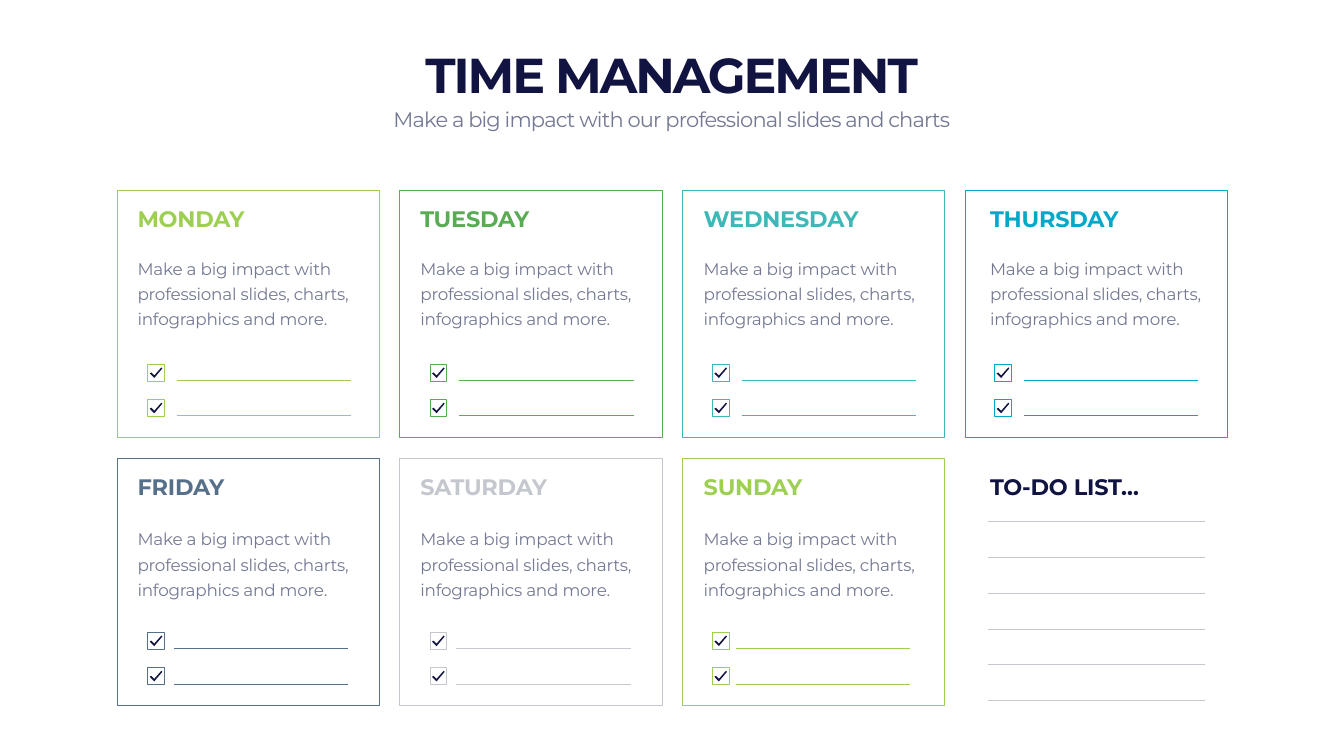
from lxml import etree
from pptx import Presentation
from pptx import util as u
from pptx.dml.color import RGBColor
from pptx.enum import shapes, text
from pptx.oxml.ns import qn

NAVY = RGBColor(0x11, 0x13, 0x40)
SLATE = RGBColor(0x74, 0x79, 0x93)
LIME = RGBColor(0x9D, 0xCF, 0x53)
GREEN = RGBColor(0x59, 0xAC, 0x54)
TEAL = RGBColor(0x3D, 0xB8, 0xB6)
CYAN = RGBColor(0x01, 0xA8, 0xC7)
STEEL = RGBColor(0x56, 0x70, 0x8A)
SILVER = RGBColor(0xC4, 0xC8, 0xCE)

BODY = "Make a big impact with professional slides, charts, infographics and more."
CARD_LEFT, CARD_PITCH = 2.32, 5.61
CHECK_LEFT, CHECK_PITCH = 2.93, 5.6
TEXT_LEFTS = (2.63, 8.24, 13.86, 19.54)
TICK = ((0.13, 0.27), (0.04, 0.18), (0.07, 0.16), (0.13, 0.22), (0.27, 0.06), (0.29, 0.08))
WEEK = (
    (3.78, 4.98, (0.58,) * 4,
     (("MONDAY", LIME), ("TUESDAY", GREEN), ("WEDNESDAY", TEAL), ("THURSDAY", CYAN))),
    (9.1, 10.35, (0.52, 0.52, 0.46),
     (("FRIDAY", STEEL), ("SATURDAY", SILVER), ("SUNDAY", LIME))),
)


class Planner:
    font = "Montserrat"
    line_width = u.Pt(1)

    def __init__(self, slide):
        self.s = slide

    def frame(self, parent, x, y, w, h, color):
        sp = parent.add_shape(shapes.MSO_SHAPE.RECTANGLE, u.Inches(x), u.Inches(y),
                              u.Inches(w), u.Inches(h))
        sp.shadow.inherit = False
        sp.fill.background()
        sp.line.color.rgb = color
        sp.line.width = self.line_width

    def rule(self, x, y, length, color):
        line = self.s.shapes.add_connector(shapes.MSO_CONNECTOR.STRAIGHT, u.Inches(x),
                                           u.Inches(y), u.Inches(x + length), u.Inches(y))
        line.line.color.rgb = color
        line.line.width = self.line_width
        etree.SubElement(line._element.spPr, qn("a:effectLst"))

    def checkbox(self, x, y, color):
        group = self.s.shapes.add_group_shape().shapes
        self.frame(group, x, y, 0.33, 0.33, color)
        points = [(u.Inches(x + dx), u.Inches(y + dy)) for dx, dy in TICK]
        builder = group.build_freeform(*points[0])
        builder.add_line_segments(points[1:], close=True)
        tick = builder.convert_to_shape()
        tick.shadow.inherit = False
        tick.fill.solid()
        tick.fill.fore_color.rgb = NAVY
        tick.line.fill.background()

    def label(self, x, y, w, h, words, size, color, bold=False, spacing=-0.3,
              align=text.PP_ALIGN.LEFT, anchor=text.MSO_ANCHOR.TOP, leading=None):
        tf = self.s.shapes.add_textbox(u.Inches(x), u.Inches(y),
                                       u.Inches(w), u.Inches(h)).text_frame
        tf.word_wrap = True
        tf.auto_size = text.MSO_AUTO_SIZE.SHAPE_TO_FIT_TEXT
        tf.vertical_anchor = anchor
        p = tf.paragraphs[0]
        p.alignment = align
        if leading:
            p.line_spacing = u.Pt(leading)
        r = p.add_run()
        r.text = words
        r._r.get_or_add_rPr().set("spc", str(round(spacing * 100)))
        p.font.name = self.font
        p.font.size = u.Pt(size)
        p.font.bold = bold
        p.font.color.rgb = color

    def heading(self, x, y, words, color):
        self.label(x, y, 4.67, 0.64, words, 32, color, bold=True,
                   anchor=text.MSO_ANCHOR.BOTTOM)

    def day(self, column, top, body_top, rule_offset, name, color):
        self.frame(self.s.shapes, CARD_LEFT + column * CARD_PITCH, top, 5.2, 4.9, color)
        check_x = CHECK_LEFT + column * CHECK_PITCH
        for task in range(2):
            check_y = top + 3.45 + task * 0.7
            self.checkbox(check_x, check_y, color)
            self.rule(check_x + rule_offset, check_y + 0.32, 3.46, color)
        text_x = TEXT_LEFTS[column]
        self.heading(text_x, top + 0.23, name, color)
        self.label(text_x, body_top, 4.67, 1.57, BODY, 24, SLATE, leading=36)


def main():
    prs = Presentation()
    prs.slide_width, prs.slide_height = u.Inches(26.66), u.Inches(15)
    planner = Planner(prs.slides.add_slide(prs.slide_layouts[6]))

    planner.label(1.66, 0.82, 23.33, 1.28, "TIME MANAGEMENT", 70, NAVY, bold=True,
                  spacing=-2.9, align=text.PP_ALIGN.CENTER, anchor=text.MSO_ANCHOR.BOTTOM)
    planner.label(1.66, 2.06, 23.33, 0.61,
                  "Make a big impact with our professional slides and charts", 30, SLATE,
                  spacing=-1.2, align=text.PP_ALIGN.CENTER)

    for top, body_top, rule_offsets, days in WEEK:
        for column, (name, color) in enumerate(days):
            planner.day(column, top, body_top, rule_offsets[column], name, color)

    planner.heading(TEXT_LEFTS[3], 9.32, "TO-DO LIST…", NAVY)
    for item in range(6):
        planner.rule(19.59, 10.35 + item * 0.71, 4.32, SILVER)

    prs.save("out.pptx")


if __name__ == "__main__":
    main()
